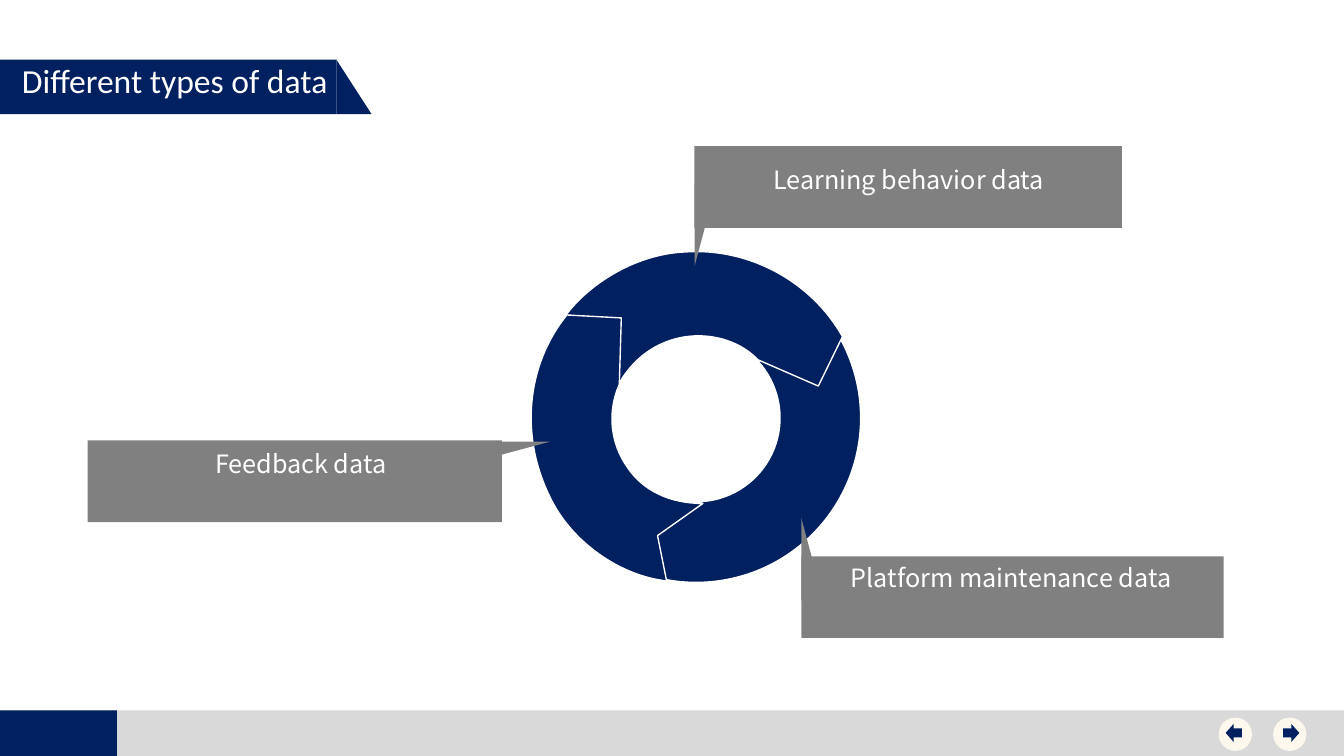
from math import cos, radians, sin

from pptx import Presentation
from pptx.dml.color import RGBColor
from pptx.enum.shapes import MSO_SHAPE
from pptx.enum.text import PP_ALIGN
from pptx.oxml.ns import qn
from pptx.util import Pt

RECTANGLE = MSO_SHAPE.RECTANGLE
RIGHT_TRIANGLE = MSO_SHAPE.RIGHT_TRIANGLE
TRIANGLE = MSO_SHAPE.ISOSCELES_TRIANGLE
CIRCULAR_ARROW = MSO_SHAPE.CIRCULAR_ARROW
OVAL = MSO_SHAPE.OVAL
LEFT_ARROW = MSO_SHAPE.LEFT_ARROW
RIGHT_ARROW = MSO_SHAPE.RIGHT_ARROW
LEFT, CENTER = PP_ALIGN.LEFT, PP_ALIGN.CENTER

# Content; all lengths in points
TITLE = "Different types of data"
CALLOUTS = [
    # text, text position, box left/top/width, tail left/top, apex side, rotation
    ("Learning behavior data", (496.8, 116.6), (496.1, 104.4, 305.3), (496.1, 131), 1, 180),
    ("Platform maintenance data", (570, 400.8), (572.4, 397.4, 301.7), (572.4, 370.1), 0, 0),
    ("Feedback data", (62.6, 319), (62.6, 314.6, 295.9), (355.7, 293.8), 0, 90),
]
NAVIGATION = [(LEFT_ARROW, 870.5, 875.5), (RIGHT_ARROW, 909.4, 916.6)]

# Ring: one preset arrow, then two outlines of lines (x, y) and curves (six numbers)
RING_ARROW = (377.3, 178.6, 239.8, 239.8)
RING_ARROW_ROTATION = 114.9
RING_ARROW_ADJUSTMENTS = (0.24, 11.42, 204.58, 121.8, 0.13)
RING_SEGMENTS = [
    # rotation, center, start, steps
    (345.1, (496.8, 234), (442.1, 274.3), [
        (416.2, 273.6, 395.3, 242.6, 403.2, 226.8),
        (417.6, 205.9, 451.4, 181.4, 490.3, 180),
        (535, 177.1, 579.6, 200.9, 601.9, 240.5),
        (584.6, 275.8),
        (541.4, 257),
        (518.4, 232.6, 466.6, 231.1, 442.1, 274.3),
    ]),
    (232.7, (437.4, 322.6), (475.9, 415.4), [
        (442.8, 411.8, 407.5, 387.4, 392.4, 355),
        (371.5, 312.5, 375.1, 262.1, 404.6, 225.4),
        (443.5, 227.5),
        (442.1, 275),
        (433.4, 294.5, 435.6, 316.8, 447.8, 334.1),
        (459.4, 351.4, 478.8, 360, 501.8, 360),
        (469.4, 383),
    ]),
]

THEME = {
    "navy": "002060", "gray": "808080", "footer": "D9D9D9",
    "white": "FFFFFF", "button": "FCF8ED",
    "title_font": "Calibri", "title_size": 24,
    "label_font": "Noto Sans CJK SC", "label_size": 18,
}
SLIDE_WIDTH, SLIDE_HEIGHT = 960, 540
FOOTER_TOP = 507.4
BOX_HEIGHT = 58.3
TAIL_SIZE = (15.8, 59)
LABEL_SIZE = (304.6, 26.6)

presentation = Presentation()
presentation.slide_width, presentation.slide_height = Pt(SLIDE_WIDTH), Pt(SLIDE_HEIGHT)
slide = presentation.slides.add_slide(presentation.slide_layouts[6])


def color(name):
    return RGBColor.from_string(THEME[name])


def paint(shape, fill, outline=None):
    shape.shadow.inherit = False
    shape.fill.solid()
    shape.fill.fore_color.rgb = color(fill)
    if outline:
        shape.line.color.rgb = color(outline)
        shape.line.width = Pt(1)
    else:
        shape.line.fill.background()


def add_block(kind, left, top, width, height, fill, outline=None):
    shape = slide.shapes.add_shape(kind, Pt(left), Pt(top), Pt(width), Pt(height))
    paint(shape, fill, outline)
    return shape


def add_text(text, left, top, width, height, style, alignment):
    frame = slide.shapes.add_textbox(Pt(left), Pt(top), Pt(width), Pt(height)).text_frame
    frame.word_wrap = True
    paragraph = frame.paragraphs[0]
    paragraph.text = text
    paragraph.alignment = alignment
    paragraph.line_spacing = 0.9
    paragraph.font.name = THEME[style + "_font"]
    paragraph.font.size = Pt(THEME[style + "_size"])
    paragraph.font.color.rgb = color("white")


def turn_back(point, center, rotation):
    """Place a point where it lies before the shape is rotated."""
    x, y = point[0] - center[0], point[1] - center[1]
    cosine, sine = cos(radians(rotation)), sin(radians(rotation))
    return Pt(center[0] + x * cosine + y * sine), Pt(center[1] - x * sine + y * cosine)


def add_ring_segment(rotation, center, start, steps):
    points = [turn_back(step[index:index + 2], center, rotation)
              for step in steps for index in range(0, len(step), 2)]
    builder = slide.shapes.build_freeform(*turn_back(start, center, rotation))
    builder.add_line_segments(points, close=True)
    segment = builder.convert_to_shape()
    segment.rotation = rotation
    paint(segment, "navy", "white")

    # Join the three points of each curve into one Bezier step
    outline = segment._element.find(".//" + qn("a:path"))
    lines = iter(outline.findall(qn("a:lnTo")))
    for step in steps:
        first = next(lines)
        if len(step) == 6:
            first.tag = qn("a:cubicBezTo")
            for line in (next(lines), next(lines)):
                first.append(line[0])
                outline.remove(line)


# Footer band
add_block(RECTANGLE, 0, FOOTER_TOP, SLIDE_WIDTH, SLIDE_HEIGHT - FOOTER_TOP, "footer")
add_block(RECTANGLE, 0, FOOTER_TOP, 83.5, SLIDE_HEIGHT - FOOTER_TOP, "navy")

# Title banner
add_block(RECTANGLE, 0, 42.6, 240.4, 38.9, "navy")
add_block(RIGHT_TRIANGLE, 240.4, 42.8, 25, 38.7, "navy")
add_text(TITLE, 8.6, 42.5, 320, 33, "title", LEFT)

# Ring of three arrows
ring_arrow = add_block(CIRCULAR_ARROW, *RING_ARROW, "navy", "white")
ring_arrow.rotation = RING_ARROW_ROTATION
for index, value in enumerate(RING_ARROW_ADJUSTMENTS):
    ring_arrow.adjustments[index] = value
for ring_segment in RING_SEGMENTS:
    add_ring_segment(*ring_segment)

# Callouts
for text, label_position, box, tail_position, apex, rotation in CALLOUTS:
    add_block(RECTANGLE, *box, BOX_HEIGHT, "gray")
    tail = add_block(TRIANGLE, *tail_position, *TAIL_SIZE, "gray")
    tail.adjustments[0] = apex
    tail.rotation = rotation
    add_text(text, *label_position, *LABEL_SIZE, "label", CENTER)

# Navigation buttons
for arrow, circle_left, arrow_left in NAVIGATION:
    add_block(OVAL, circle_left, 512.6, 23.8, 23.8, "button")
    add_block(arrow, arrow_left, 517, 11.5, 13, "navy")

presentation.save("out.pptx")
